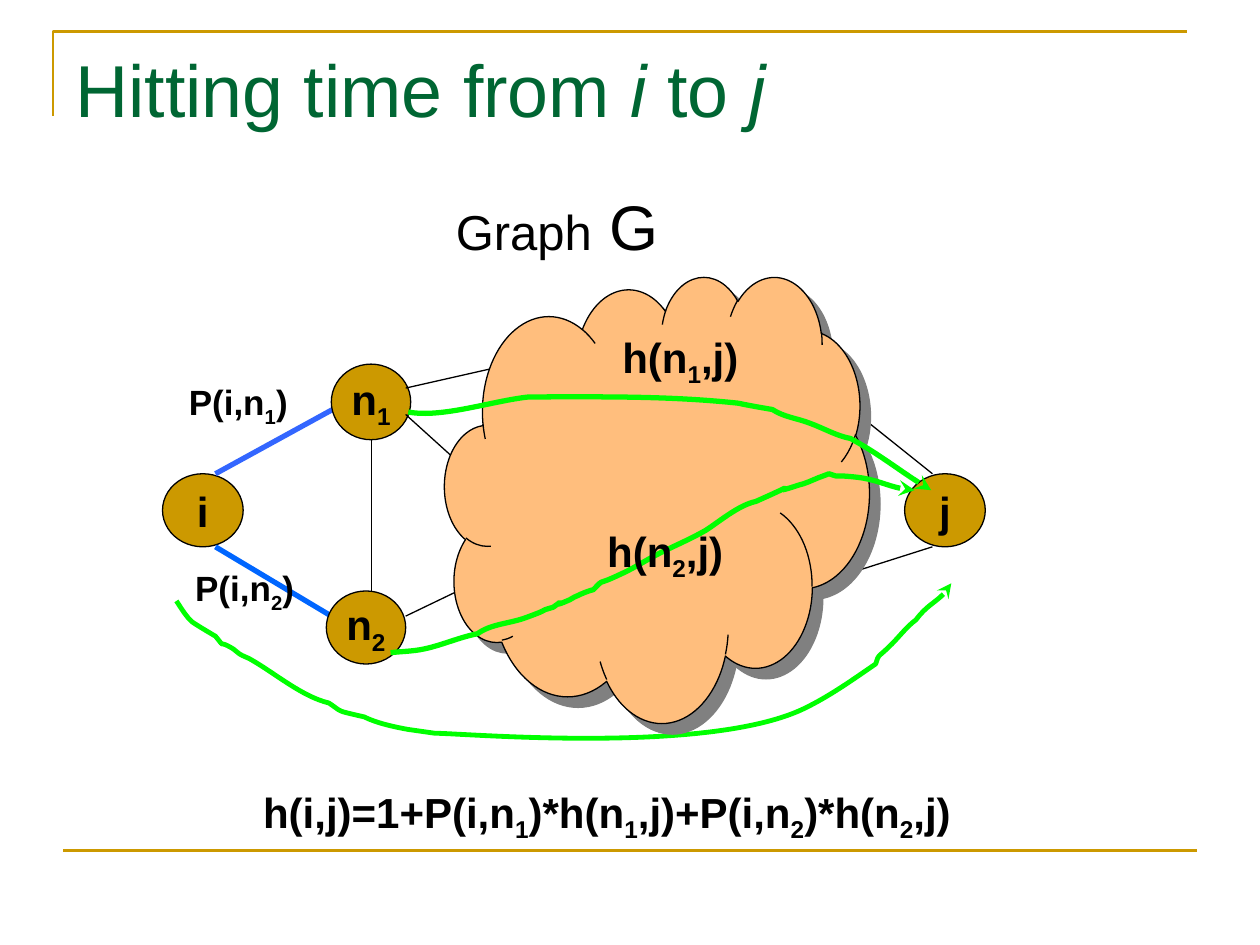
from dataclasses import dataclass

from lxml import etree
from pptx import Presentation
from pptx.dml.color import RGBColor
from pptx.enum.shapes import MSO_CONNECTOR, MSO_SHAPE
from pptx.enum.text import MSO_ANCHOR, PP_ALIGN
from pptx.oxml.ns import qn
from pptx.util import Inches, Pt

STRAIGHT = MSO_CONNECTOR.STRAIGHT
ELLIPSE, CLOUD = MSO_SHAPE.OVAL, MSO_SHAPE.CLOUD
LEFT, CENTER = PP_ALIGN.LEFT, PP_ALIGN.CENTER
TOP, MIDDLE = MSO_ANCHOR.TOP, MSO_ANCHOR.MIDDLE


@dataclass(frozen=True)
class Theme:
    font: str = "Arial"
    gold: str = "CC9900"
    title: str = "006633"
    ink: str = "000000"
    upper_edge: str = "3366FF"
    lower_edge: str = "0066FF"
    walk: str = "00FF00"
    cloud: str = "FFBE7D"
    shadow: str = "808080"
    title_size: int = 42
    graph_size: int = 28
    big_size: int = 36
    body_size: int = 24
    label_size: int = 20


@dataclass(frozen=True)
class Box:
    left: float
    top: float
    width: float
    height: float

    def point(self, x, y):
        return Inches(self.left + x), Inches(self.top + y)

    def inner(self, x, y, width, height):
        return Box(self.left + x, self.top + y, width, height)

    def frame(self):
        return [Inches(v) for v in (self.left, self.top, self.width, self.height)]


THEME = Theme()

# Walks: a start point, then cubic curves of three points each
WALK_I_TO_J = [
    (0.4, 3.77), (0.44, 3.83), (0.48, 3.9), (0.53, 3.94), (0.59, 3.98), (0.71, 4.05), (0.71, 4.05),
    (0.81, 4.17), (0.7, 4.06), (0.85, 4.15), (0.87, 4.16), (0.88, 4.18), (0.9, 4.19),
    (0.93, 4.21), (0.97, 4.22), (1, 4.24), (1.19, 4.35), (1.4, 4.53), (1.61, 4.58),
    (1.7, 4.64), (1.68, 4.64), (1.76, 4.66), (1.8, 4.67), (1.89, 4.69), (1.89, 4.69),
    (1.99, 4.74), (2.13, 4.77), (2.24, 4.79), (2.31, 4.8), (2.45, 4.82), (2.45, 4.82),
    (2.68, 4.82), (4.6, 4.99), (5.37, 4.63), (5.58, 4.53), (5.76, 4.4), (5.95, 4.27),
    (5.98, 4.18), (5.95, 4.24), (6.08, 4.11), (6.14, 4.05), (6.2, 3.97), (6.27, 3.92),
    (6.35, 3.81), (6.49, 3.75), (6.55, 3.63),
]
WALK_N2_TO_J = [
    (2.1, 4.18), (2.19, 4.17), (2.28, 4.17), (2.37, 4.15), (2.51, 4.12), (2.64, 4.06), (2.79, 4.03),
    (2.9, 3.95), (3.05, 3.95), (3.18, 3.9), (3.4, 3.82), (3.25, 3.86), (3.39, 3.82),
    (3.52, 3.73), (3.34, 3.84), (3.5, 3.77), (3.53, 3.76), (3.55, 3.74), (3.58, 3.73),
    (3.62, 3.71), (3.67, 3.69), (3.71, 3.68), (3.81, 3.58), (3.71, 3.66), (3.92, 3.56),
    (4.01, 3.52), (4.09, 3.47), (4.18, 3.42), (4.31, 3.35), (4.46, 3.29), (4.6, 3.21),
    (4.71, 3.14), (4.86, 3.01), (5, 2.98), (5.47, 2.77), (5.01, 2.96), (5.34, 2.85),
    (5.39, 2.84), (5.45, 2.81), (5.5, 2.79), (5.53, 2.78), (5.58, 2.76), (5.58, 2.76),
    (5.7, 2.8), (5.57, 2.76), (5.82, 2.79), (5.96, 2.81), (6.12, 2.89), (6.26, 2.89),
]
WALK_N1_TO_J = [
    (2.24, 2.27), (2.51, 2.32), (2.91, 2.18), (3.2, 2.15), (3.75, 2.15), (4.3, 2.14), (4.86, 2.2),
    (4.95, 2.22), (5.13, 2.25), (5.13, 2.25), (5.22, 2.31), (5.33, 2.32), (5.43, 2.36),
    (5.54, 2.4), (5.64, 2.46), (5.75, 2.48), (5.97, 2.6), (6.17, 2.76), (6.39, 2.89),
]


def style_line(line, color, width):
    line.color.rgb = RGBColor.from_string(color)
    line.width = Pt(width)


def add_line(slide, box, start, end, color=THEME.ink, width=0.75):
    line = slide.shapes.add_connector(STRAIGHT, *box.point(*start), *box.point(*end))
    style_line(line.line, color, width)
    etree.SubElement(line._element.spPr, qn("a:effectLst"))


def write(frame, runs, *, size=THEME.body_size, color=THEME.ink, bold=True,
          align=LEFT, anchor=TOP, wrap=True):
    """Runs are (text, style) pairs; in a plain string "_" lowers the next character."""
    if isinstance(runs, str):
        first, *rest = runs.split("_")
        runs = [(first, {})]
        for piece in rest:
            runs += [(piece[0], {"subscript": True}), (piece[1:], {})]
    frame.word_wrap = wrap
    frame.vertical_anchor = anchor
    paragraph = frame.paragraphs[0]
    paragraph.alignment = align
    for text, style in runs:
        if not text:
            continue
        run = paragraph.add_run()
        run.text = text
        font = run.font
        font.name, font.bold = THEME.font, bold
        font.size = Pt(style.get("size", size))
        font.italic = style.get("italic", False)
        font.color.rgb = RGBColor.from_string(color)
        if style.get("subscript"):
            font._element.set("baseline", "-25000")


def add_text(slide, box, runs, **form):
    write(slide.shapes.add_textbox(*box.frame()).text_frame, runs, **form)


def add_open_path(slide, box, points, color, width):
    first, *rest = [box.point(*p) for p in points]
    builder = slide.shapes.build_freeform(*first)
    builder.add_line_segments(rest, close=False)
    outline = builder.convert_to_shape()
    outline.shadow.inherit = False
    outline.fill.background()
    style_line(outline.line, color, width)
    return outline


def add_walk(slide, box, points, width=3):
    walk = add_open_path(slide, box, points, THEME.walk, width)
    # Gather each three segments into one cubic curve
    segments = list(walk._element.iter(qn("a:lnTo")))
    for start in range(0, len(segments), 3):
        curve, *others = segments[start:start + 3]
        curve.tag = qn("a:cubicBezTo")
        for other in others:
            curve.append(other[0])
            other.getparent().remove(other)
    etree.SubElement(walk.line._get_or_add_ln(), qn("a:tailEnd"), type="stealth")


def add_filled(slide, box, preset, color):
    shape = slide.shapes.add_shape(preset, *box.frame())
    shape.shadow.inherit = False
    shape.fill.solid()
    shape.fill.fore_color.rgb = RGBColor.from_string(color)
    style_line(shape.line, THEME.ink, 0.75)
    return shape


def add_node(slide, box, label):
    node = add_filled(slide, box, ELLIPSE, THEME.gold)
    write(node.text_frame, label, align=CENTER, anchor=MIDDLE, wrap=False)


def add_cloud(slide, box):
    cloud = add_filled(slide, box, CLOUD, THEME.cloud)
    effects = cloud._element.spPr.find(qn("a:effectLst"))
    shadow = etree.SubElement(effects, qn("a:outerShdw"), dist=str(Pt(8.5)),
                              dir="2700000", algn="ctr", rotWithShape="0")
    etree.SubElement(shadow, qn("a:srgbClr"), val=THEME.shadow)


def build_frame(slide, box):
    add_open_path(slide, box, [(0, 0.67), (0, 0), (9, 0)], THEME.gold, 1.5)
    add_line(slide, box, (0.08, box.height), (9.08, box.height), THEME.gold, 1.5)


def build_graph(slide, box):
    # Edges behind the nodes
    for start, end in [((1.95, 3.89), (1.95, 2.29)), ((5.55, 3.61), (6.4, 3.34)),
                       ((5.55, 2.08), (6.4, 2.76))]:
        add_line(slide, box, start, end)
    # End nodes, the edges leaving i, and the whole walk
    for x, label in [(0.29, "i"), (6.18, "j")]:
        add_node(slide, box.inner(x, 2.76, 0.64, 0.58), label)
    add_line(slide, box, (0.71, 2.76), (1.95, 2.08), THEME.upper_edge, 3)
    add_line(slide, box, (0.71, 3.34), (1.63, 3.89), THEME.lower_edge, 3)
    add_walk(slide, box, WALK_I_TO_J, 2.75)
    # Neighbours of i and their edges into the cloud
    add_node(slide, box.inner(1.63, 1.89, 0.63, 0.6), "n_1")
    add_node(slide, box.inner(1.59, 3.69, 0.63, 0.58), "n_2")
    for start, end in [((2.22, 2.08), (3.06, 1.89)), ((2.22, 2.29), (3.06, 3.05)),
                       ((2.22, 3.89), (2.76, 3.63))]:
        add_line(slide, box, start, end)
    add_cloud(slide, box.inner(2.53, 1.19, 3.37, 3.54))
    # Walks through the cloud, then labels
    add_walk(slide, box, WALK_N2_TO_J)
    add_walk(slide, box, WALK_N1_TO_J)
    for x, y, label in [(0.4, 1.97, "P(i,n_1)"), (0.45, 3.45, "P(i,n_2)")]:
        add_text(slide, box.inner(x, y, 1.14, 0.48), label, size=THEME.label_size)
    for x, y, label in [(3.84, 1.58, "h(n_1,j)"), (3.72, 3.12, "h(n_2,j)")]:
        add_text(slide, box.inner(x, y, 1.45, 0.56), label)
    add_text(slide, box.inner(2.52, 0.44, 2.44, 0.7),
             [("Graph", {}), (" G", {"size": THEME.big_size})],
             size=THEME.graph_size, bold=False)


def main():
    deck = Presentation()
    deck.slide_width, deck.slide_height = Inches(10), Inches(7.5)
    slide = deck.slides.add_slide(deck.slide_layouts[6])
    build_frame(slide, Box(0.42, 0.25, 9.08, 6.5))
    italic = {"italic": True}
    add_text(slide, Box(0.5, 0.3, 9, 1.25),
             [("Hitting time from ", {}), ("i ", italic), ("to ", {}), ("j", italic)],
             size=THEME.title_size, color=THEME.title, bold=False)
    build_graph(slide, Box(1, 1, 7, 5))
    add_text(slide, Box(1.99, 6.19, 6.03, 0.56), "h(i,j)=1+P(i,n_1)*h(n_1,j)+P(i,n_2)*h(n_2,j)")
    deck.save("out.pptx")


if __name__ == "__main__":
    main()
